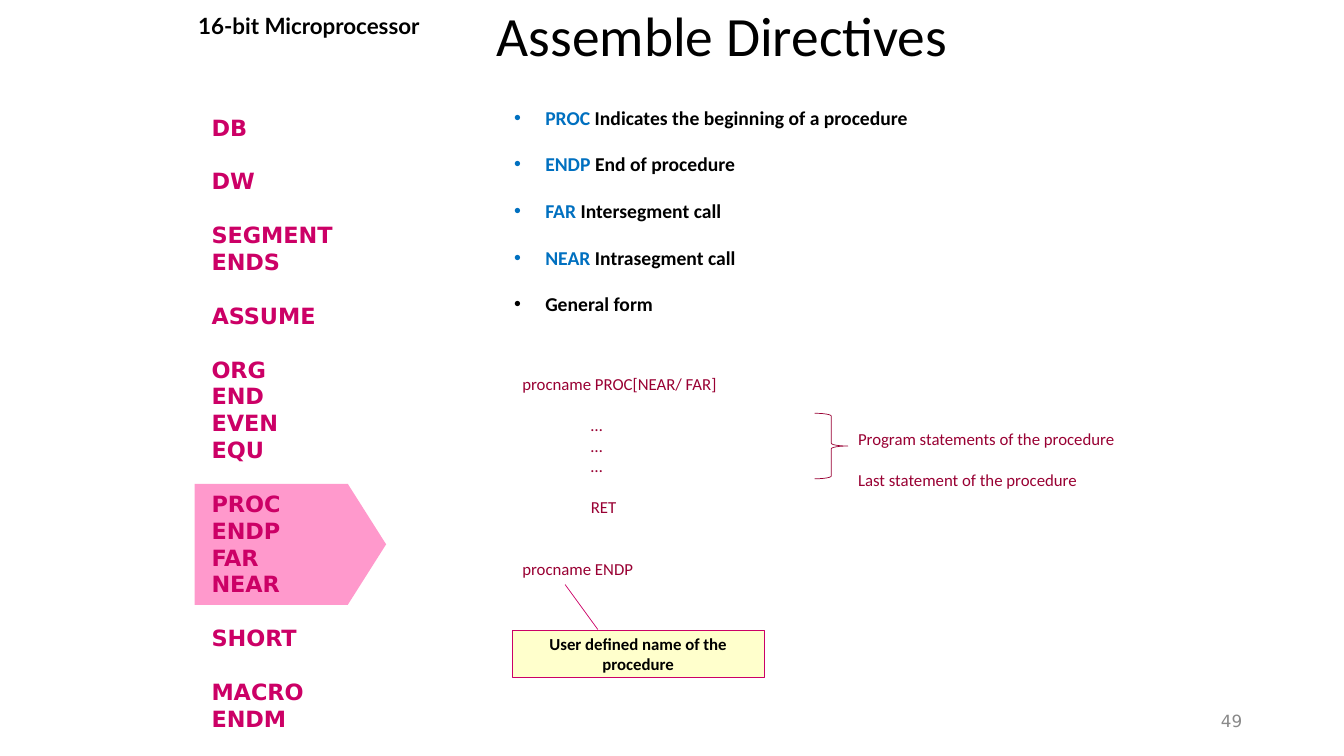
from lxml import etree
from pptx import Presentation
from pptx.dml.color import RGBColor
from pptx.enum.shapes import MSO_SHAPE
from pptx.enum.text import MSO_ANCHOR, PP_ALIGN
from pptx.oxml.ns import qn
from pptx.util import Inches, Pt

OFFPAGE = MSO_SHAPE.FLOWCHART_OFFPAGE_CONNECTOR
BRACE = MSO_SHAPE.RIGHT_BRACE
CALLOUT = MSO_SHAPE.LINE_CALLOUT_1
LEFT, CENTER, RIGHT = PP_ALIGN.LEFT, PP_ALIGN.CENTER, PP_ALIGN.RIGHT
TOP, MIDDLE = MSO_ANCHOR.TOP, MSO_ANCHOR.MIDDLE

COLORS = {
    "black": "000000", "white": "FFFFFF", "grey": "898989", "pink": "FF99CC",
    "magenta": "CC0066", "blue": "0070C0", "maroon": "990033", "cream": "FFFFCC",
}
SIDEBAR_GROUPS = [
    ["DB"], ["DW"], ["SEGMENT", "ENDS"], ["ASSUME"], ["ORG", "END", "EVEN", "EQU"],
    ["PROC", "ENDP", "FAR", "NEAR"], ["SHORT"], ["MACRO", "ENDM"],
]
SIDEBAR_LINE = 19.2
DIRECTIVES = [
    ("PROC", " Indicates the beginning of a procedure"),
    ("ENDP", " End of procedure"),
    ("FAR", " Intersegment call"),
    ("NEAR ", "Intrasegment call"),
    ("", "General form"),
]
CODE_LINE = 14.6
CODE = [
    ("procname PROC[NEAR/ FAR]", 0, 0), ("…", 0.68, 1), ("…", 0.68, 0),
    ("…", 0.68, 0), ("RET", 0.68, 1), ("procname ENDP", 0, 2),
]
REMARKS = [("Program statements of the procedure", 0, 0),
           ("Last statement of the procedure", 0, 1)]


def rgb(name):
    """Return the named colour."""
    return RGBColor.from_string(COLORS[name])


def add_span(para, text, size, color, font="Calibri", bold=False):
    """Add one formatted run to a paragraph."""
    span = para.add_run()
    span.text = text
    span.font.size = Pt(size)
    span.font.name = font
    span.font.bold = bold
    span.font.color.rgb = rgb(color)


def next_para(frame, gap=0, align=LEFT):
    """Return the empty first paragraph of a frame, or a new one after a gap."""
    first = frame.paragraphs[0]
    para = frame.add_paragraph() if first.runs else first
    para.space_before = Pt(gap)
    para.alignment = align
    return para


def add_box(page, left, top, width, height, anchor=TOP):
    """Add a wrapping text box and return its frame."""
    box = page.shapes.add_textbox(Inches(left), Inches(top), Inches(width), Inches(height))
    frame = box.text_frame
    frame.word_wrap = True
    frame.vertical_anchor = anchor
    return frame


def add_figure(page, kind, left, top, width, height, fill=None, line=None):
    """Add a preset shape with an optional fill and thin outline."""
    figure = page.shapes.add_shape(
        kind, Inches(left), Inches(top), Inches(width), Inches(height))
    figure.shadow.inherit = False
    if fill:
        figure.fill.solid()
        figure.fill.fore_color.rgb = rgb(fill)
    else:
        figure.fill.background()
    if line:
        figure.line.color.rgb = rgb(line)
        figure.line.width = Pt(0.5)
    else:
        figure.line.fill.background()
    return figure


def add_bullet(para):
    """Give a paragraph a hanging round bullet."""
    properties = para._p.get_or_add_pPr()
    properties.set("marL", str(Inches(0.31)))
    properties.set("indent", str(-Inches(0.31)))
    etree.SubElement(properties, qn("a:buFont"), typeface="Arial")
    etree.SubElement(properties, qn("a:buChar"), char="•")


def add_sidebar(page):
    """List the directive groups, with the current one on an arrow tab."""
    add_figure(page, OFFPAGE, 2.28, 4.45, 1.2, 1.9, fill="pink").rotation = 270
    frame = add_box(page, 2, 1.08, 1.63, 6.29)
    for group_index, group in enumerate(SIDEBAR_GROUPS):
        for index, name in enumerate(group):
            starts_group = group_index > 0 and index == 0
            para = next_para(frame, SIDEBAR_LINE if starts_group else 0)
            para.line_spacing = Pt(SIDEBAR_LINE)
            add_span(para, name, 16, "magenta", "DejaVu Sans", True)


def add_directives(page):
    """List the meanings of the directives."""
    frame = add_box(page, 5, 1, 6.17, 2.22)
    for index, (keyword, meaning) in enumerate(DIRECTIVES):
        para = next_para(frame, 16.5 if index else 0)
        add_bullet(para)
        if keyword:
            add_span(para, keyword, 14, "blue", bold=True)
        add_span(para, meaning, 14, "black", bold=True)


def add_border(cell, side, width):
    """Draw a white border on one side of a cell."""
    border = etree.Element(qn("a:" + side), w=str(Pt(width)))
    fill = etree.SubElement(border, qn("a:solidFill"))
    etree.SubElement(fill, qn("a:srgbClr"), val=COLORS["white"])
    return border


def fill_cell(cell, lines, top):
    """Write the lines, each with an indent and a number of line gaps."""
    cell.fill.solid()
    cell.fill.fore_color.rgb = rgb("white")
    cell.margin_top = Inches(top)
    properties = cell._tc.get_or_add_tcPr()
    for index, (side, width) in enumerate([("lnL", 1), ("lnR", 1), ("lnT", 1), ("lnB", 3)]):
        properties.insert(index, add_border(cell, side, width))
    for text, indent, gaps in lines:
        para = next_para(cell.text_frame, gaps * CODE_LINE)
        para._p.get_or_add_pPr().set("marL", str(Inches(indent)))
        add_span(para, text, 12, "maroon")


def add_general_form(page):
    """Show the form of a procedure beside its remarks."""
    table = page.shapes.add_table(
        1, 2, Inches(5.08), Inches(3.67), Inches(6.25), Inches(2.1)).table
    table.first_row = False
    table.horz_banding = False
    for column, width in zip(table.columns, (3.33, 2.92)):
        column.width = Inches(width)
    fill_cell(table.cell(0, 0), CODE, 0.05)
    fill_cell(table.cell(0, 1), REMARKS, 0.59)
    add_figure(page, BRACE, 8.08, 4.1, 0.33, 0.65, line="maroon")


def add_callout(page):
    """Explain the procedure name in a callout."""
    callout = add_figure(page, CALLOUT, 5.08, 6.25, 2.5, 0.47, "cream", "magenta")
    for index, value in enumerate((-0.01, 0.34, -0.96, 0.21)):
        callout.adjustments[index] = value
    frame = callout.text_frame
    frame.word_wrap = True
    frame.vertical_anchor = MIDDLE
    para = next_para(frame, align=CENTER)
    add_span(para, "User defined name of the procedure", 12, "black", bold=True)


def add_headings(page):
    """Add the title, the topic and the page number."""
    title = next_para(add_box(page, 4.83, 0.12, 6.58, 0.53, MIDDLE))
    title.line_spacing = 0.9
    add_span(title, "Assemble Directives", 39.6, "black")
    topic = next_para(add_box(page, 1.73, 0.07, 2.67, 0.37), align=CENTER)
    add_span(topic, "16-bit Microprocessor", 16, "black", "Lato", True)
    number = next_para(add_box(page, 9.42, 6.95, 3, 0.4, MIDDLE), align=RIGHT)
    add_span(number, "49", 12, "grey", "DejaVu Sans")


def main():
    """Build the slide and save it."""
    deck = Presentation()
    deck.slide_width = Inches(13.33)
    deck.slide_height = Inches(7.5)
    page = deck.slides.add_slide(deck.slide_layouts[6])
    add_headings(page)
    add_sidebar(page)
    add_directives(page)
    add_general_form(page)
    add_callout(page)
    deck.save("out.pptx")


if __name__ == "__main__":
    main()
